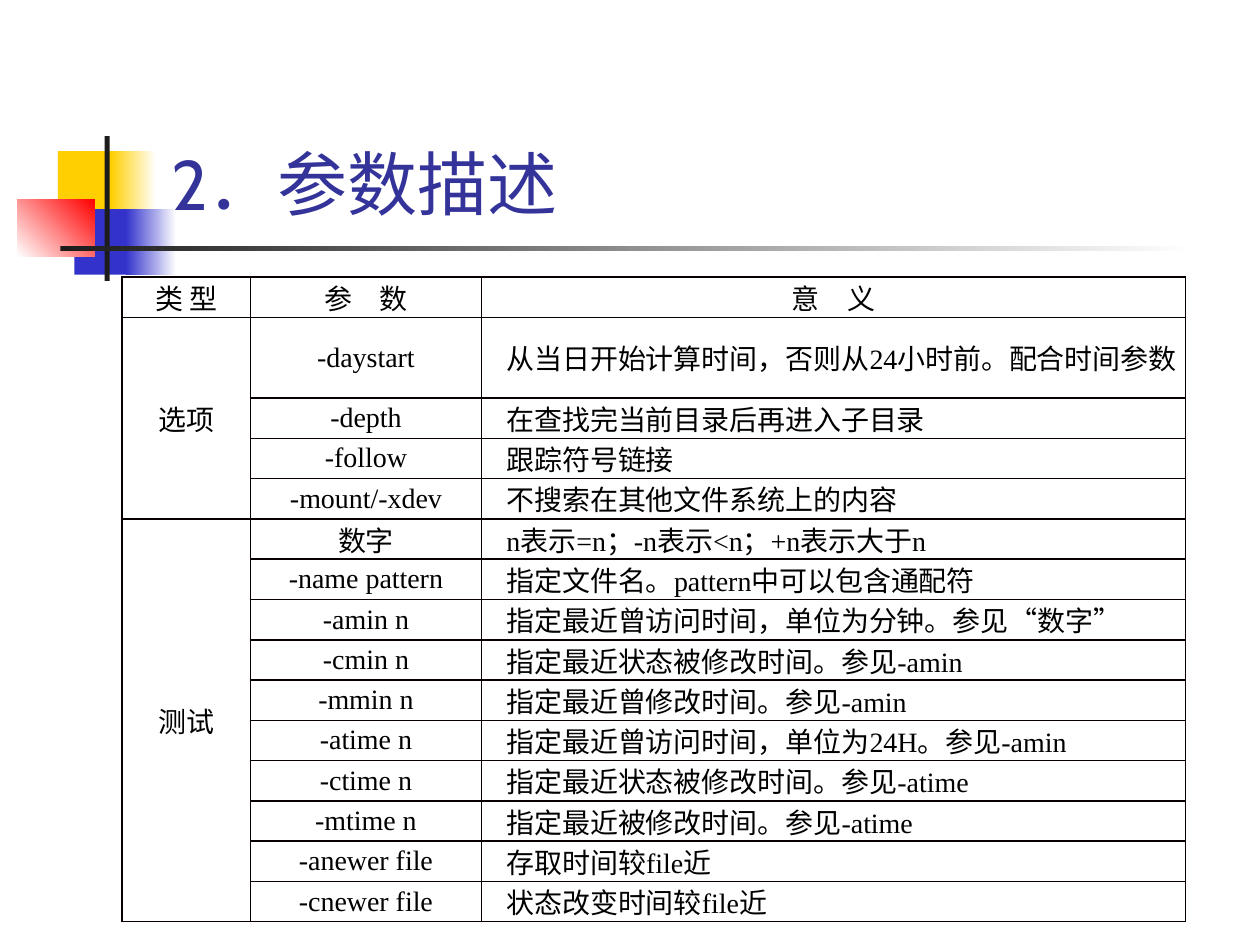
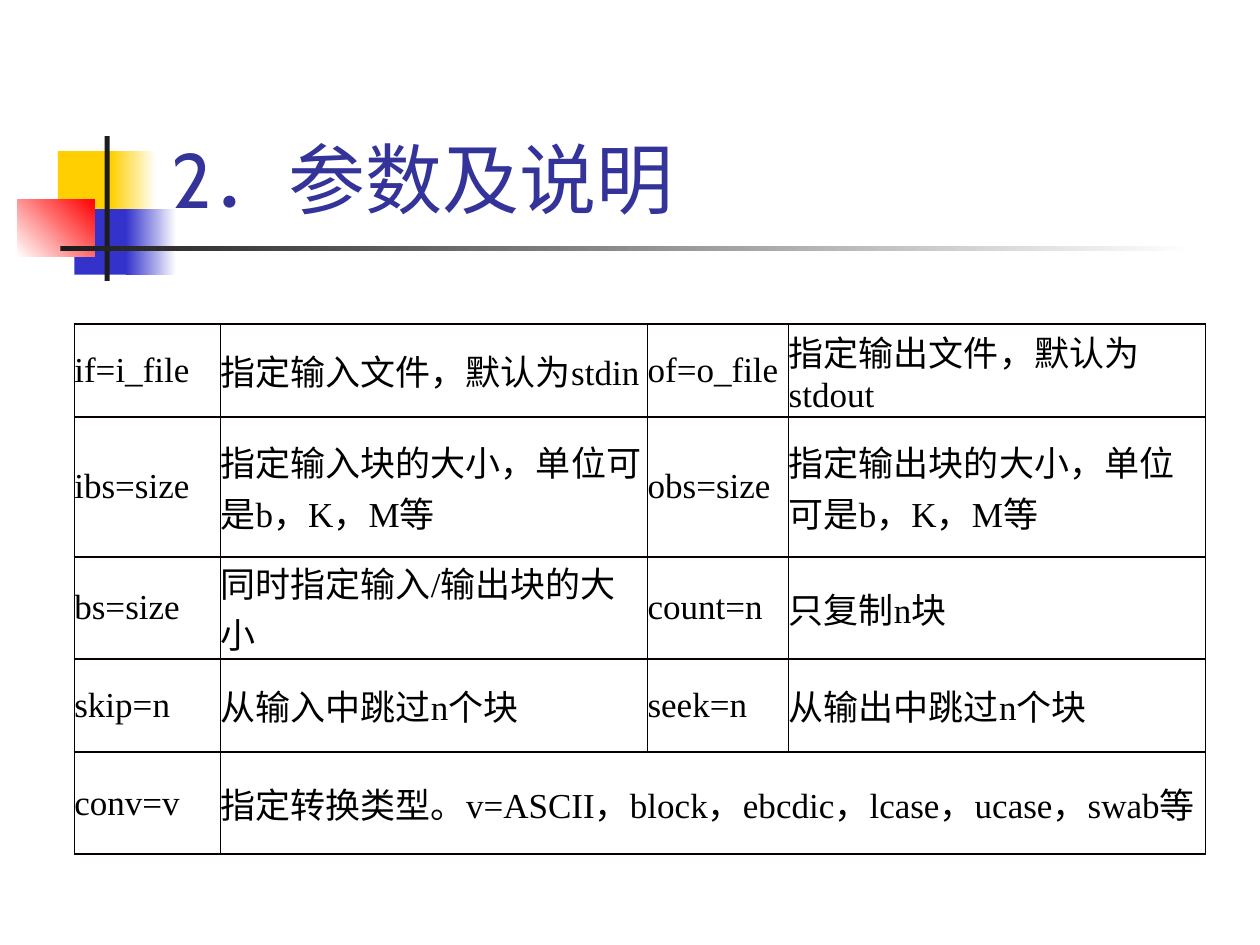
"""Build two slides that tabulate the parameters of the find and dd commands."""
import itertools

import lxml.etree
import pptx
import pptx.dml.color
import pptx.enum.shapes
import pptx.enum.text
import pptx.oxml.ns
import pptx.util

Inches = pptx.util.Inches
Pt = pptx.util.Pt
RGB = pptx.dml.color.RGBColor.from_string
qn = pptx.oxml.ns.qn


class Theme:
    yellow, blue, red, dark, white = "FFCF01", "3333CC", "FF0000", "1C1C1C", "FFFFFF"
    title, body, border = "333399", "000000", "080000"
    title_font, body_font, cjk_font = "Cabin", "Times New Roman", "Noto Sans CJK SC"
    option_size, copy_size = 16, 20
    option_title_size, copy_title_size = 40, 44
    thick, thin = 1, 0.5


def write(p, text, size, font, color):
    """Fill a paragraph, giving curly quotes the CJK font."""
    p.font.size = Pt(size)
    p.font.color.rgb = RGB(color)
    p.font.name = font
    lxml.etree.SubElement(p.font._element, qn("a:ea"), typeface=Theme.cjk_font)
    for quoted, chars in itertools.groupby(text, lambda c: c in "“”"):
        r = p.add_run()
        r.text = "".join(chars)
        if quoted:
            r.font.name = Theme.cjk_font


def add_grid(s, left, top, widths, heights, rows, size, thin_after=None):
    """Add a bordered table, with an optional thin line after one column."""
    frame = s.shapes.add_table(len(rows), len(widths), Inches(left), Inches(top),
                               Inches(sum(widths)), Inches(sum(heights)))
    table = frame.table
    table.first_row = table.horz_banding = False
    for column, width in zip(table.columns, widths):
        column.width = Inches(width)
    for row, height in zip(table.rows, heights):
        row.height = Inches(height)
    for i, row in enumerate(rows):
        for j, text in enumerate(row):
            cell = table.cell(i, j)
            cell.margin_left = cell.margin_right = cell.margin_top = cell.margin_bottom = 0
            cell.vertical_anchor = pptx.enum.text.MSO_ANCHOR.MIDDLE
            cell.fill.background()
            tcPr = cell._tc.get_or_add_tcPr()
            for k, side in enumerate("LRTB"):
                thin = (side, j) in (("R", thin_after), ("L", (thin_after or -2) + 1))
                width = Theme.thin if thin else Theme.thick
                ln = lxml.etree.Element(qn(f"a:ln{side}"), w=str(Pt(width)))
                fill = lxml.etree.SubElement(ln, qn("a:solidFill"))
                lxml.etree.SubElement(fill, qn("a:srgbClr"), val=Theme.border)
                tcPr.insert(k, ln)
            if text:
                write(cell.text_frame.paragraphs[0], text, size, Theme.body_font, Theme.body)
    return table


prs = pptx.Presentation()
prs.slide_width, prs.slide_height = Inches(10), Inches(7.5)

decorations = [
    (0.46, 1.2, 0.48, 0.52, [Theme.yellow], 0),
    (0.88, 1.2, 0.36, 0.52, [Theme.yellow, Theme.white], 0),
    (0.59, 1.66, 0.46, 0.52, [Theme.blue], 0),
    (1, 1.66, 0.4, 0.52, [Theme.blue, Theme.white], 0),
    (0.14, 1.58, 0.61, 0.46, [Theme.white, Theme.red], 45),
    (0.83, 1.08, 0.04, 1.15, [Theme.dark], 0),
    (0.48, 1.95, 9, 0.04, [Theme.dark, Theme.white], 0),
]
titles = [
    ("2．参数描述", Theme.option_title_size),
    ("2．参数及说明", Theme.copy_title_size),
]

for title, title_size in titles:
    s = prs.slides.add_slide(prs.slide_layouts[6])
    for left, top, width, height, colors, angle in decorations:
        sp = s.shapes.add_shape(pptx.enum.shapes.MSO_SHAPE.RECTANGLE, Inches(left),
                                Inches(top), Inches(width), Inches(height))
        sp.shadow.inherit = False
        sp.line.fill.background()
        if len(colors) == 1:
            sp.fill.solid()
            sp.fill.fore_color.rgb = RGB(colors[0])
        else:
            sp.fill.gradient()
            sp.fill.gradient_angle = angle
            for stop, color in zip(sp.fill.gradient_stops, colors):
                stop.color.rgb = RGB(color)
    tf = s.shapes.add_textbox(Inches(1.26), Inches(0.23), Inches(8.52), Inches(1.6)).text_frame
    tf.word_wrap = True
    tf.vertical_anchor = pptx.enum.text.MSO_ANCHOR.BOTTOM
    write(tf.paragraphs[0], title, title_size, Theme.title_font, Theme.title)

find_slide, dd_slide = prs.slides

find_rows = [
    ("类 型", "参　数", "意　义"),
    ("选项", "-daystart", "从当日开始计算时间，否则从24小时前。配合时间参数"),
    ("", "-depth", "在查找完当前目录后再进入子目录"),
    ("", "-follow", "跟踪符号链接"),
    ("", "-mount/-xdev", "不搜索在其他文件系统上的内容"),
    ("测试", "数字", "n表示=n；-n表示<n；+n表示大于n"),
    ("", "-name pattern", "指定文件名。pattern中可以包含通配符"),
    ("", "-amin n", "指定最近曾访问时间，单位为分钟。参见“数字”"),
    ("", "-cmin n", "指定最近状态被修改时间。参见-amin"),
    ("", "-mmin n", "指定最近曾修改时间。参见-amin"),
    ("", "-atime n", "指定最近曾访问时间，单位为24H。参见-amin"),
    ("", "-ctime n", "指定最近状态被修改时间。参见-atime"),
    ("", "-mtime n", "指定最近被修改时间。参见-atime"),
    ("", "-anewer file", "存取时间较file近"),
    ("", "-cnewer file", "状态改变时间较file近"),
]
find_table = add_grid(find_slide, 0.97, 2.2, [1.02, 1.83, 5.59], [0.32, 0.64] + [0.32] * 13,
                      find_rows, Theme.option_size)
for i, j in itertools.product(range(len(find_rows)), range(3)):
    p = find_table.cell(i, j).text_frame.paragraphs[0]
    if i == 0 or j < 2:
        p.alignment = pptx.enum.text.PP_ALIGN.CENTER
    else:
        p._p.get_or_add_pPr().set("indent", str(Inches(0.2)))
for first, last in [(1, 4), (5, 14)]:
    find_table.cell(first, 0).merge(find_table.cell(last, 0))

dd_rows = [
    ("if=i_file", "指定输入文件，默认为stdin", "of=o_file", "指定输出文件，默认为stdout"),
    ("ibs=size", "指定输入块的大小，单位可是b，K，M等",
     "obs=size", "指定输出块的大小，单位可是b，K，M等"),
    ("bs=size", "同时指定输入/输出块的大小", "count=n", "只复制n块"),
    ("skip=n", "从输入中跳过n个块", "seek=n", "从输出中跳过n个块"),
    ("conv=v", "指定转换类型。v=ASCII，block，ebcdic，lcase，ucase，swab等", "", ""),
]
dd_table = add_grid(dd_slide, 0.59, 2.57, [1.16, 3.39, 1.12, 3.31],
                    [0.74, 1.11, 0.81, 0.74, 0.81], dd_rows, Theme.copy_size, thin_after=2)
dd_table.cell(4, 1).merge(dd_table.cell(4, 3))

prs.save("out.pptx")
